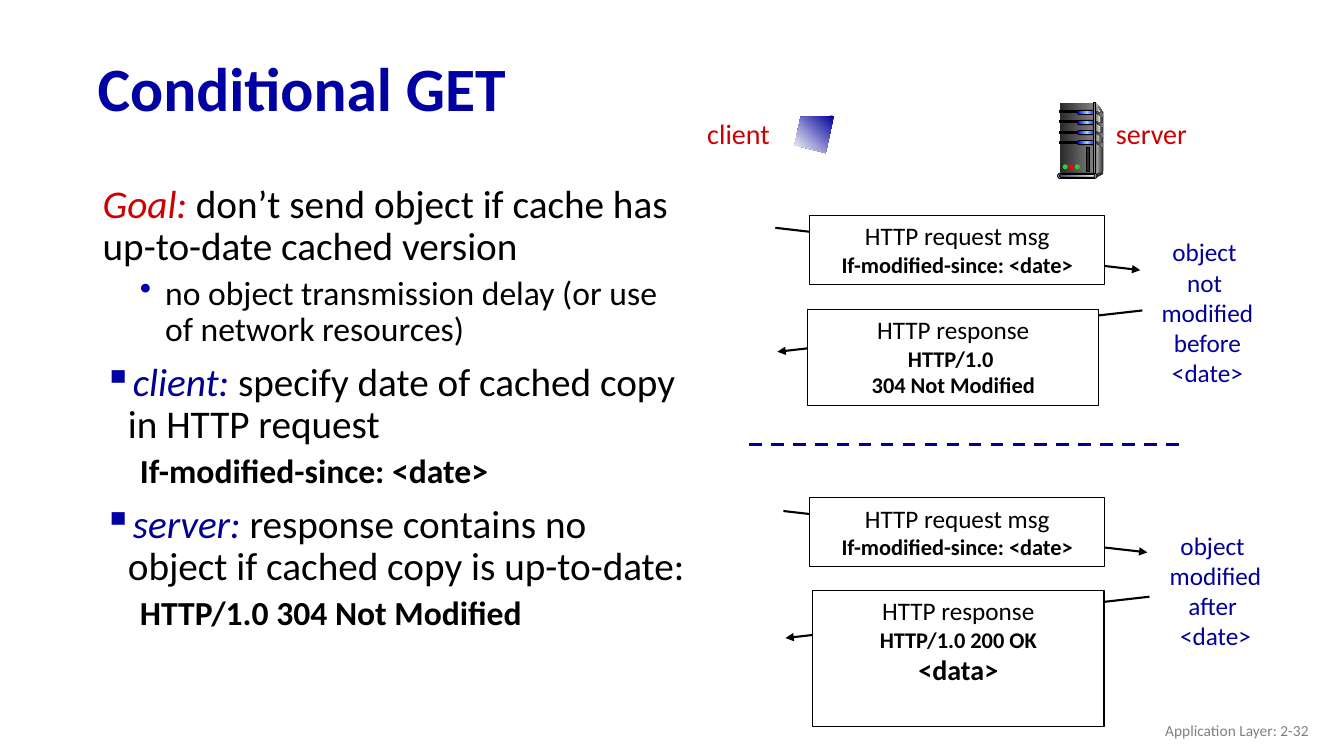
"""Build the Conditional GET slide: bullet text beside two HTTP exchanges."""
from copy import deepcopy
from dataclasses import dataclass

from lxml import etree
from pptx import Presentation
from pptx.dml.color import RGBColor
from pptx.enum.dml import MSO_LINE
from pptx.enum.shapes import MSO_CONNECTOR, MSO_SHAPE
from pptx.enum.text import MSO_ANCHOR, PP_ALIGN
from pptx.oxml.ns import qn
from pptx.util import Inches, Pt

STRAIGHT = MSO_CONNECTOR.STRAIGHT
DASH = MSO_LINE.DASH
RECTANGLE, PILL, OVAL = MSO_SHAPE.RECTANGLE, MSO_SHAPE.ROUNDED_RECTANGLE, MSO_SHAPE.OVAL
TOP, MIDDLE = MSO_ANCHOR.TOP, MSO_ANCHOR.MIDDLE
LEFT, CENTER, RIGHT = PP_ALIGN.LEFT, PP_ALIGN.CENTER, PP_ALIGN.RIGHT
FONT = "Calibri"
COLORS = {
    "black": "000000", "white": "FFFFFF", "title": "0000A3", "red": "CC0000",
    "term": "000090", "dot": "0000A8", "navy": "000099", "footer": "808080",
    "coal": "292929", "dark": "333333", "gray": "808080", "silver": "DDDDDD",
    "pale": "F8F8F8", "blue": "0000FF", "sky": "99CCFF", "slate": "44546A",
    "mist": "E7E6E6", "green": "33CC33", "lamp": "FF0000",
}


@dataclass(frozen=True)
class Run:
    text: str
    size: float
    color: str = "black"
    bold: bool = False
    italic: bool = False


@dataclass(frozen=True)
class Line:
    runs: tuple[Run, ...]
    align: PP_ALIGN = LEFT
    spacing: float | None = None
    before: float = 0
    margin: float = 0
    indent: float = 0
    bullet: str = ""
    bullet_color: str = "title"


@dataclass(frozen=True)
class Box:
    left: float
    top: float
    width: float
    height: float


@dataclass(frozen=True)
class Part:
    kind: MSO_SHAPE
    box: Box
    fill: tuple[str, ...]
    outlined: bool = False


@dataclass(frozen=True)
class Message:
    start: tuple[float, float]
    end: tuple[float, float]
    box: Box
    lines: tuple[Line, ...]


def rgb(name: str) -> RGBColor:
    return RGBColor.from_string(COLORS[name])


def centered(text: str, size: float, color: str = "black", bold: bool = False) -> Line:
    return Line((Run(text, size, color, bold),), CENTER)


def topic(*runs: Run, bullet: str = "▪", before: float = 10, margin: float = 0.39, indent: float = -0.24) -> Line:
    return Line(runs, LEFT, 0.9, before, margin, indent, bullet)


def detail(text: str, bold: bool = True, bullet: str = "") -> Line:
    return Line((Run(text, 24, bold=bold),), LEFT, 0.9, 5, 0.76, -0.25, bullet, "dot")


def write(shape, lines: tuple[Line, ...], anchor: MSO_ANCHOR = TOP, wrap: bool = True) -> None:
    frame = shape.text_frame
    frame.word_wrap = wrap
    frame.vertical_anchor = anchor
    for index, line in enumerate(lines):
        paragraph = frame.paragraphs[0] if index == 0 else frame.add_paragraph()
        paragraph.alignment = line.align
        paragraph.space_before = Pt(line.before)
        if line.spacing:
            paragraph.line_spacing = line.spacing
        properties = paragraph._p.get_or_add_pPr()
        properties.set("marL", str(Inches(line.margin)))
        properties.set("indent", str(Inches(line.indent)))
        if line.bullet:
            color = etree.SubElement(properties, qn("a:buClr"))
            etree.SubElement(color, qn("a:srgbClr"), val=COLORS[line.bullet_color])
            etree.SubElement(properties, qn("a:buChar"), char=line.bullet)
        for item in line.runs:
            run = paragraph.add_run()
            run.text = item.text
            run.font.name = FONT
            run.font.size = Pt(item.size)
            run.font.bold = item.bold
            run.font.italic = item.italic
            run.font.color.rgb = rgb(item.color)


def lengths(box: Box) -> tuple[int, ...]:
    return tuple(Inches(value) for value in (box.left, box.top, box.width, box.height))


def add_text(slide, box: Box, lines: tuple[Line, ...], anchor: MSO_ANCHOR = TOP, wrap: bool = True) -> None:
    write(slide.shapes.add_textbox(*lengths(box)), lines, anchor, wrap)


def paint(shape, colors: tuple[str, ...], outlined: bool = False, angle: float = 0) -> None:
    shape.shadow.inherit = False
    if len(colors) == 1:
        shape.fill.solid()
        shape.fill.fore_color.rgb = rgb(colors[0])
    else:
        shape.fill.gradient()
        shape.fill.gradient_angle = angle
        stop_list = shape._element.spPr.find(qn("a:gradFill")).find(qn("a:gsLst"))
        for _ in colors[2:]:
            stop_list.append(deepcopy(stop_list[-1]))
        for index, (stop, name) in enumerate(zip(shape.fill.gradient_stops, colors)):
            stop.color.rgb = rgb(name)
            stop.position = index / (len(colors) - 1)
    if outlined:
        shape.line.color.rgb = rgb("black")
        shape.line.width = Pt(0.75)
    else:
        shape.line.fill.background()


def add_part(slide, part: Part):
    shape = slide.shapes.add_shape(part.kind, *lengths(part.box))
    if part.kind == PILL:
        shape.adjustments[0] = 0.5
    paint(shape, part.fill, part.outlined)
    return shape


def add_outline(slide, points: list[tuple[float, float]], colors: tuple[str, ...], angle: float = 0) -> None:
    corners = [(Inches(x), Inches(y)) for x, y in points]
    builder = slide.shapes.build_freeform(*corners[0])
    builder.add_line_segments(corners[1:], close=True)
    paint(builder.convert_to_shape(), colors, angle=angle)


def add_line(slide, start: tuple[float, float], end: tuple[float, float], color: str = "black",
             width: float = 1.5, dashed: bool = False) -> None:
    connector = slide.shapes.add_connector(STRAIGHT, *(Inches(value) for value in start + end))
    connector.line.color.rgb = rgb(color)
    connector.line.width = Pt(width)
    properties = connector._element.spPr
    if dashed:
        connector.line.dash_style = DASH
    else:
        etree.SubElement(properties.find(qn("a:ln")), qn("a:tailEnd"), type="triangle")
    etree.SubElement(properties, qn("a:effectLst"))


def add_server(slide) -> None:
    steel = ("coal", "gray")
    add_outline(slide, [(10.87, 1.02), (10.94, 1.11), (10.94, 1.7), (10.85, 1.74)], ("silver", "dark"))
    add_part(slide, Part(RECTANGLE, Box(10.51, 1.02, 0.34, 0.72), steel))
    add_outline(slide, [(10.87, 1.06), (10.92, 1.12), (10.89, 1.4), (10.87, 1.72)], ("gray", "pale"))
    for bay in range(4):
        top = 1.1 + 0.1 * bay
        add_outline(slide, [(10.86, top), (10.94, top + 0.03), (10.94, top + 0.06), (10.86, top + 0.02)], steel)
        add_part(slide, Part(RECTANGLE, Box(10.51, top, 0.19, 0.02), ("black",), True))
        add_part(slide, Part(PILL, Box(10.68, top - 0.01, 0.19, 0.05), ("black",)))
        add_part(slide, Part(PILL, Box(10.69, top, 0.18, 0.03), ("blue", "sky", "blue")))
    add_part(slide, Part(RECTANGLE, Box(10.85, 1.02, 0.02, 0.72), ("dark", "silver", "dark"), True))
    add_outline(slide, [(10.86, 1.73), (10.86, 1.77), (10.94, 1.73), (10.94, 1.7)], ("dark",))
    add_part(slide, Part(PILL, Box(10.49, 1.72, 0.39, 0.05), ("silver",), True))
    add_part(slide, Part(PILL, Box(10.51, 1.73, 0.35, 0.03), ("slate", "mist"), True))
    for index, color in enumerate(("green", "lamp", "green")):
        add_part(slide, Part(OVAL, Box(10.54 + 0.06 * index, 1.63, 0.05, 0.05), (color,)))
    add_part(slide, Part(RECTANGLE, Box(10.78, 1.46, 0.03, 0.24), ("coal",), True))


def main() -> None:
    presentation = Presentation()
    presentation.slide_width, presentation.slide_height = Inches(13.33), Inches(7.5)
    slide = presentation.slides.add_slide(presentation.slide_layouts[6])
    add_text(slide, Box(0.87, 0.42, 11.5, 0.98),
             (Line((Run("Conditional GET", 44, "title", True),), spacing=0.9),), MIDDLE)
    add_text(slide, Box(0.78, 1.78, 6.12, 5.61), (
        topic(Run("Goal:", 28, "red", italic=True),
              Run(" don’t send object if cache has up-to-date cached version", 28),
              bullet="", before=0, margin=0.14, indent=0),
        detail("no object transmission delay (or use of network resources)", False, "•"),
        topic(Run("client: ", 28, "term", italic=True), Run("specify date of cached copy in HTTP request", 28)),
        detail("If-modified-since: <date>"),
        topic(Run("server: ", 28, "term", italic=True),
              Run("response contains no object if cached copy is up-to-date:", 28)),
        detail("HTTP/1.0 304 Not Modified"),
    ))
    request = (centered("HTTP request msg", 18), centered("If-modified-since: <date>", 16, bold=True))
    response = centered("HTTP response", 18)
    messages = (
        Message((7.69, 2.26), (11.31, 2.68), Box(8.03, 2.14, 2.93, 0.68), request),
        Message((11.33, 3.08), (7.71, 3.49), Box(8.01, 3.07, 2.89, 0.95),
                (response, centered("HTTP/1.0 ", 16, bold=True), centered("304 Not Modified", 16, bold=True))),
        Message((7.77, 5.07), (11.38, 5.48), Box(8.03, 4.94, 2.93, 0.68), request),
        Message((11.4, 5.92), (7.79, 6.33), Box(8.06, 5.86, 2.89, 1.35),
                (response, centered("HTTP/1.0 200 OK", 16, bold=True), centered("<data>", 20, bold=True))),
    )
    for message in messages:
        add_line(slide, message.start, message.end)
        write(add_part(slide, Part(RECTANGLE, message.box, ("white",), True)), message.lines)
    add_line(slide, (7.43, 4.41), (11.7, 4.41), "navy", 2.25, True)
    labels = (
        (Box(11.4, 2.3, 1.15, 1.6), ("object ", "not ", "modified", "before", "<date>"), 18, "navy"),
        (Box(11.48, 5.21, 1.15, 1.3), ("object ", "modified", "after ", "<date>"), 18, "navy"),
        (Box(6.9, 1.11, 0.85, 0.43), ("client",), 20, "red"),
        (Box(10.96, 1.11, 0.92, 0.43), ("server",), 20, "red"),
    )
    for box, words, size, color in labels:
        add_text(slide, box, tuple(centered(word, size, color) for word in words), wrap=False)
    add_server(slide)
    add_outline(slide, [(8.27, 1.15), (7.94, 1.16), (7.88, 1.44), (8.19, 1.52)], ("navy", "white"), 225)
    add_text(slide, Box(10.08, 7.05, 3, 0.4), (Line((Run("Application Layer: 2-32", 11, "footer"),), RIGHT),), MIDDLE)
    presentation.save("out.pptx")


if __name__ == "__main__":
    main()
